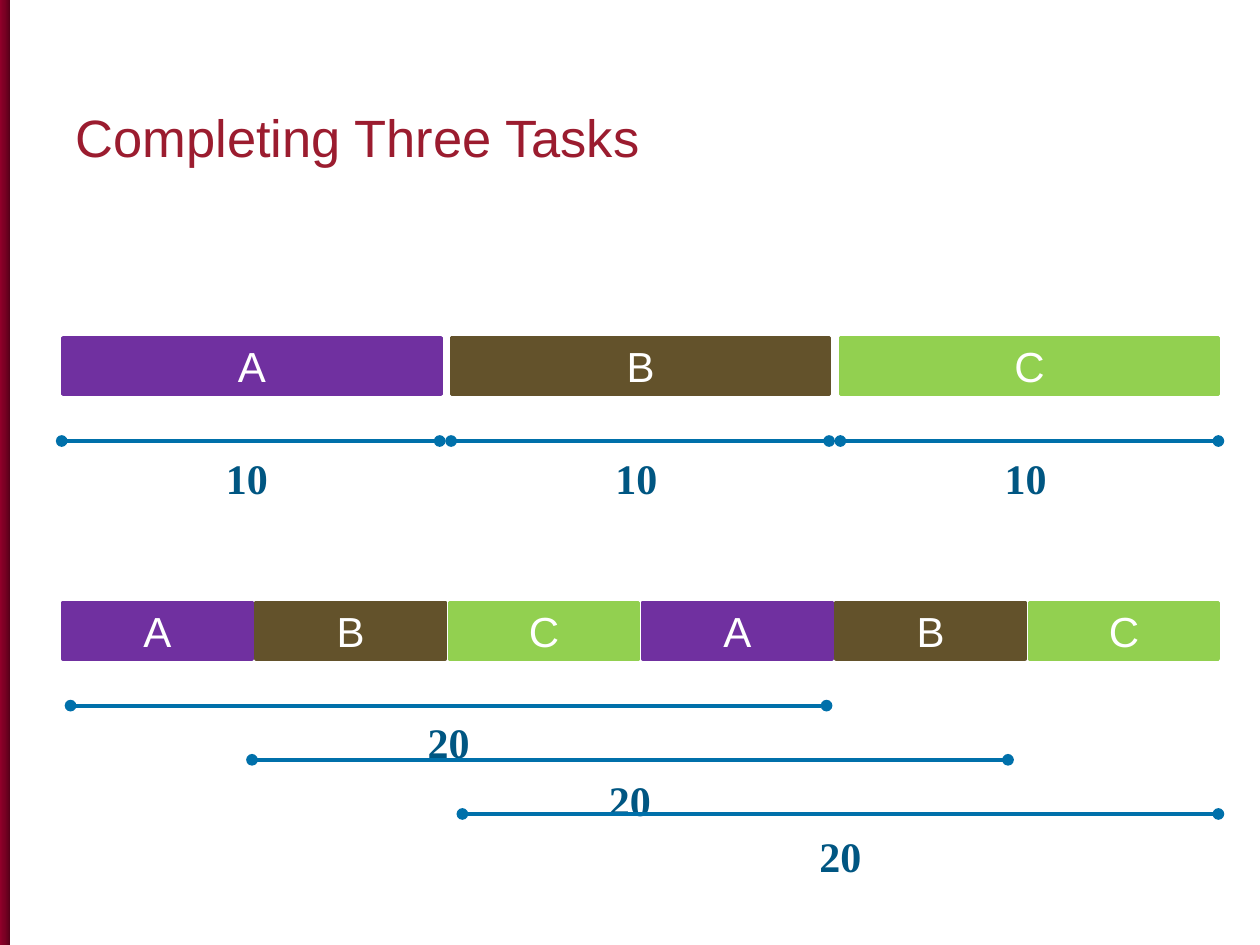
"""Build a slide comparing sequential and interleaved completion of three tasks."""
from copy import deepcopy
from dataclasses import dataclass

from lxml.etree import SubElement
from pptx import Presentation
from pptx.dml.color import RGBColor
from pptx.enum.shapes import MSO_CONNECTOR as CONN, MSO_SHAPE as SHAPE
from pptx.enum.text import MSO_ANCHOR as ANCHOR, MSO_AUTO_SIZE as AUTO, PP_ALIGN as ALIGN
from pptx.oxml.ns import qn
from pptx.util import Inches, Pt


@dataclass(frozen=True)
class Theme:
    title: str = "9B1C2F"
    white: str = "FFFFFF"
    span: str = "0070AA"
    label: str = "005682"
    band: tuple = ((0, "550019"), (0.5, "790023"), (1, "90002A"))
    sans: str = "Arial"
    serif: str = "Times New Roman"
    title_size: int = 30
    body_size: int = 24


THEME = Theme()
TASKS = (("A", "7030A0"), ("B", "63522B"), ("C", "92D050"))
LEFT, RIGHT = 0.5, 9.67
BAR_HEIGHT = 0.45
LABEL_WIDTH, LABEL_HEIGHT = 0.67, 0.4


def rgb(value):
    return RGBColor.from_string(value)


def write(tf, text, *, color, font=THEME.sans, size=THEME.body_size, bold=False,
          align=ALIGN.CENTER, anchor=ANCHOR.MIDDLE):
    tf.word_wrap = True
    tf.vertical_anchor = anchor
    p = tf.paragraphs[0]
    p.alignment = align
    r = p.add_run()
    r.text = text
    r.font.name, r.font.size, r.font.bold = font, Pt(size), bold
    r.font.color.rgb = rgb(color)


def add_title(s, text):
    sp = s.shapes.title
    sp.left, sp.top, sp.width, sp.height = map(Inches, (LEFT, 0.58, 9.04, 0.8))
    write(sp.text_frame, text, color=THEME.title, size=THEME.title_size,
          align=ALIGN.LEFT, anchor=ANCHOR.BOTTOM)


def add_rect(s, left, top, width, height):
    sp = s.shapes.add_shape(SHAPE.RECTANGLE, *map(Inches, (left, top, width, height)))
    sp.shadow.inherit = False
    return sp


def add_side_band(s):
    sp = add_rect(s, 0, 0, 0.08, 7.5)
    sp.line.fill.background()
    sp.fill.gradient()
    sp.fill.gradient_angle = 180
    first = sp.fill.gradient_stops[0]
    stops = sp.element.spPr.find(qn("a:gradFill")).find(qn("a:gsLst"))
    stops.insert(1, deepcopy(stops[0]))
    for stop, (position, color) in zip(sp.fill.gradient_stops, THEME.band):
        stop.position = position
        stop.color.rgb = rgb(color)


def add_task_row(s, top, width, tasks):
    """Spread equal task bars from the left edge to the right edge."""
    pitch = (RIGHT - LEFT - width) / (len(tasks) - 1)
    for i, (name, color) in enumerate(tasks):
        sp = add_rect(s, LEFT + i * pitch, top, width, BAR_HEIGHT)
        sp.fill.solid()
        sp.fill.fore_color.rgb = rgb(color)
        sp.line.color.rgb = rgb(color)
        sp.line.width = Pt(2)
        write(sp.text_frame, name, color=THEME.white)


def add_span(s, left, top, length):
    line = s.shapes.add_connector(CONN.STRAIGHT, *map(Inches, (left, top, left + length, top)))
    line.line.color.rgb = rgb(THEME.span)
    line.line.width = Pt(2.25)
    ln = line.line._get_or_add_ln()
    for end in ("a:headEnd", "a:tailEnd"):
        SubElement(ln, qn(end), type="oval")
    SubElement(line.element.spPr, qn("a:effectLst"))


def add_label(s, center, top, text):
    box = s.shapes.add_textbox(*map(Inches, (center - LABEL_WIDTH / 2, top,
                                             LABEL_WIDTH, LABEL_HEIGHT)))
    tf = box.text_frame
    tf.margin_top, tf.margin_bottom = Inches(0.09), 0
    tf.auto_size = AUTO.SHAPE_TO_FIT_TEXT
    write(tf, text, color=THEME.label, font=THEME.serif, bold=True, anchor=ANCHOR.TOP)


def main():
    prs = Presentation()
    prs.slide_width, prs.slide_height = Inches(10), Inches(7.5)
    s = prs.slides.add_slide(prs.slide_layouts[5])
    add_side_band(s)
    add_title(s, "Completing Three Tasks")

    add_task_row(s, 2.68, 3, TASKS)
    for i in range(len(TASKS)):
        left = 0.49 + i * 3.09
        add_span(s, left, 3.5, 3)
        add_label(s, left + 1.47, 3.5, "10")

    add_task_row(s, 4.78, 1.5, TASKS * 2)
    for i, (left, drop) in enumerate(((0.56, 0), (2, 0.03), (3.67, 0.04))):
        top = 5.6 + i * 0.43
        add_span(s, left, top, 6)
        add_label(s, left + 3, top + drop, "20")

    prs.save("out.pptx")


if __name__ == "__main__":
    main()
